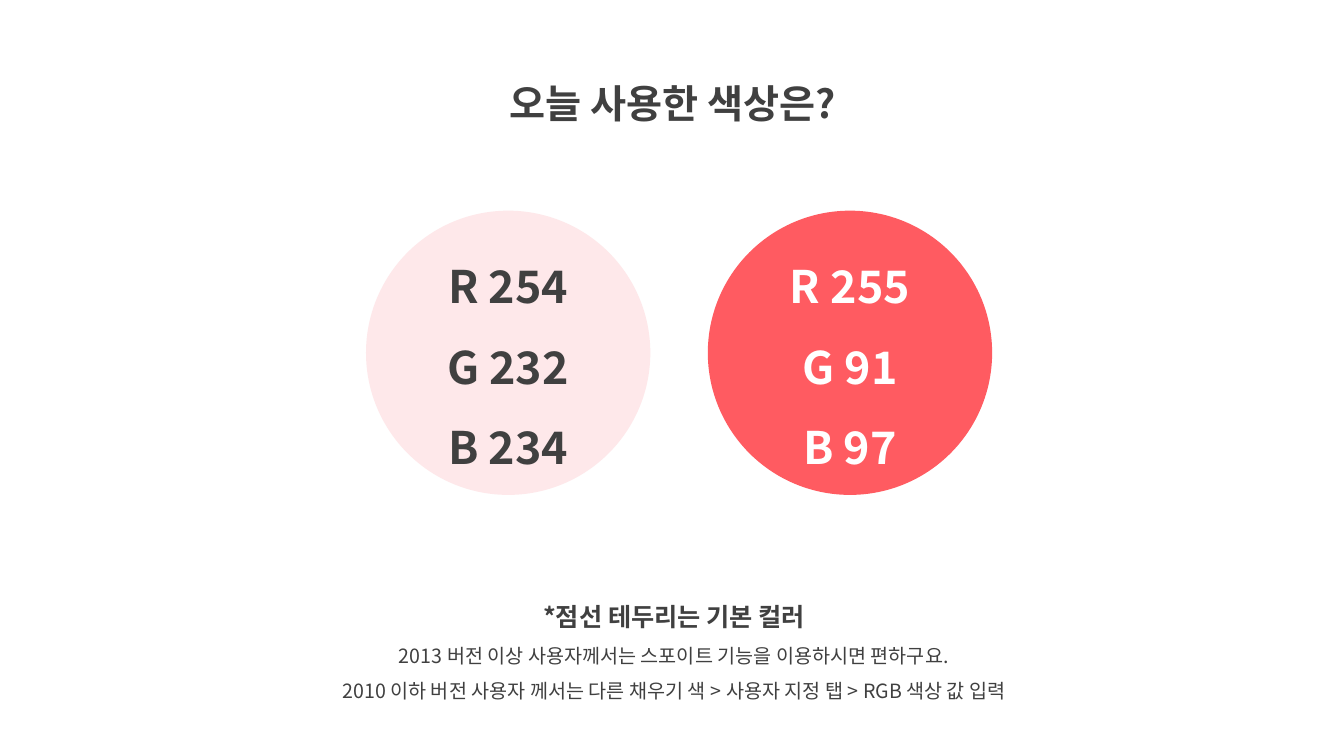
import pptx
import pptx.util
import pptx.dml.color
import pptx.enum.shapes
import pptx.enum.text
import pptx.oxml.ns
from lxml import etree

Inches = pptx.util.Inches
FONT = "Noto Sans CJK KR"
COLORS = {"ink": "404040", "white": "FFFFFF", "pale": "FEE8EA", "coral": "FF5B61"}

TITLE = [("오늘 사용한 색상은?", 28, True)]
NOTES = [
    ("*점선 테두리는 기본 컬러", 18, True),
    ("2013 버전 이상 사용자께서는 스포이트 기능을 이용하시면 편하구요.", 14, False),
    ("2010 이하 버전 사용자 께서는 다른 채우기 색 > 사용자 지정 탭 > RGB 색상 값 입력", 14, False),
]
TEXT_BOXES = [
    (TITLE, (4.36, 0.5, 4.63, 0.72)),
    (NOTES, (2.69, 5.77, 7.99, 1.26)),
]
SWATCHES = [("pale", "ink"), ("coral", "white")]
SWATCH_LEFT, SWATCH_TOP, SWATCH_SIZE, SWATCH_STEP = 3.63, 2.09, 2.82, 3.39


def rgb(name):
    return pptx.dml.color.RGBColor.from_string(COLORS[name])


def write_lines(tf, lines, color):
    tf.word_wrap = True
    tf.text = "\n".join(text for text, size, bold in lines)
    for p, (text, size, bold) in zip(tf.paragraphs, lines):
        p.alignment = pptx.enum.text.PP_ALIGN.CENTER
        p.line_spacing = 1.5
        for r in p.runs:
            r.font.size = pptx.util.Pt(size)
            r.font.bold = bold
            r.font.color.rgb = rgb(color)
            r.font.name = FONT
            ea = etree.SubElement(r.font._element, pptx.oxml.ns.qn("a:ea"))
            ea.set("typeface", FONT)


def add_swatch(s, index, fill, ink):
    left = SWATCH_LEFT + index * SWATCH_STEP
    sp = s.shapes.add_shape(
        pptx.enum.shapes.MSO_SHAPE.OVAL,
        Inches(left), Inches(SWATCH_TOP), Inches(SWATCH_SIZE), Inches(SWATCH_SIZE),
    )
    sp.shadow.inherit = False
    sp.fill.solid()
    sp.fill.fore_color.rgb = rgb(fill)
    sp.line.fill.background()
    sp.text_frame.vertical_anchor = pptx.enum.text.MSO_ANCHOR.MIDDLE
    lines = [(f"{channel} {value}", 32, True) for channel, value in zip("RGB", rgb(fill))]
    write_lines(sp.text_frame, lines, ink)


def main():
    prs = pptx.Presentation()
    prs.slide_width, prs.slide_height = Inches(13.33), Inches(7.5)
    s = prs.slides.add_slide(prs.slide_layouts[6])
    for lines, box in TEXT_BOXES:
        tf = s.shapes.add_textbox(*map(Inches, box)).text_frame
        write_lines(tf, lines, "ink")
        tf.auto_size = pptx.enum.text.MSO_AUTO_SIZE.SHAPE_TO_FIT_TEXT
    for index, (fill, ink) in enumerate(SWATCHES):
        add_swatch(s, index, fill, ink)
    prs.save("out.pptx")


if __name__ == "__main__":
    main()
